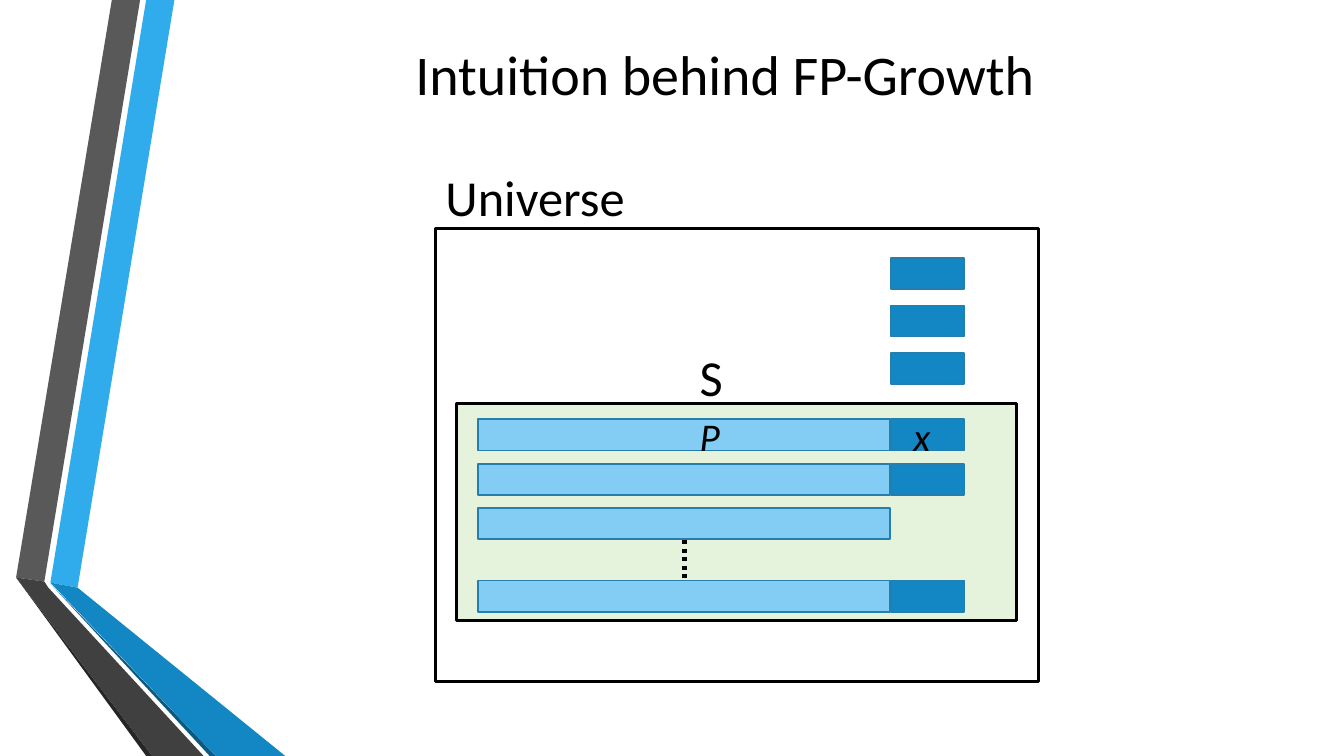
from dataclasses import dataclass
from typing import NamedTuple

from lxml.etree import SubElement
from pptx import Presentation
from pptx.dml.color import RGBColor
from pptx.enum.dml import MSO_LINE
from pptx.enum.shapes import MSO_CONNECTOR, MSO_SHAPE
from pptx.enum.text import MSO_ANCHOR, PP_ALIGN
from pptx.oxml.ns import qn
from pptx.util import Pt

PX = 9144


class Box(NamedTuple):
    left: int
    top: int
    width: int
    height: int

    def inner(self, left, top, width, height):
        """Return a box placed relative to this one."""
        return Box(self.left + left, self.top + top, width, height)

    def emu(self):
        """Return the four lengths in EMU."""
        return [length * PX for length in self]


@dataclass(frozen=True)
class Theme:
    font: str = "Calibri"
    ink: str = "000000"
    subset: str = "E6F3DC"
    prefix: str = "83CDF4"
    item: str = "1287C3"
    edge: str = "247FAF"
    blue: str = "30ACEC"
    blue_shade: str = "0C5A82"
    gray: str = "595959"
    gray_dark: str = "404040"
    gray_shade: str = "262626"
    title_size: int = 40
    label_size: int = 36
    item_size: int = 28
    frame_line: float = 2.25
    bar_line: float = 1.25
    dots_line: float = 3


THEME = Theme()


def color(code):
    """Turn a hex code into a colour."""
    return RGBColor.from_string(code)


def add_rect(page, box, fill, edge, weight):
    """Draw a rectangle, hollow when fill is None."""
    rect = page.shapes.add_shape(MSO_SHAPE.RECTANGLE, *box.emu())
    rect.shadow.inherit = False
    if fill is None:
        rect.fill.background()
    else:
        rect.fill.solid()
        rect.fill.fore_color.rgb = color(fill)
    rect.line.color.rgb = color(edge)
    rect.line.width = Pt(weight)


def add_text(page, box, text, size, italic=False, align=PP_ALIGN.LEFT, anchor=MSO_ANCHOR.TOP):
    """Write one line of text in a box."""
    frame = page.shapes.add_textbox(*box.emu()).text_frame
    frame.word_wrap = True
    frame.vertical_anchor = anchor
    frame.text = text
    para = frame.paragraphs[0]
    para.alignment = align
    font = para.runs[0].font
    font.name = THEME.font
    font.size = Pt(size)
    font.italic = italic
    font.color.rgb = color(THEME.ink)


def add_dots(page, box):
    """Draw a dotted vertical line down the left side of a box."""
    left, top, _, height = box.emu()
    dots = page.shapes.add_connector(MSO_CONNECTOR.STRAIGHT, left, top, left, top + height)
    dots.line.color.rgb = color(THEME.ink)
    dots.line.width = Pt(THEME.dots_line)
    dots.line.dash_style = MSO_LINE.ROUND_DOT
    SubElement(dots._element.spPr, qn("a:effectLst"))


def add_ribbons(page, box):
    """Draw the two folded ribbons along the left edge."""
    ribbons = [
        (THEME.blue, [(34, 578), (61, 583), (157, 0), (129, 0)]),
        (THEME.gray, [(123, 0), (95, 0), (0, 573), (28, 577)]),
        (THEME.gray_shade, [(0, 573), (129, 750), (135, 750)]),
        (THEME.blue_shade, [(34, 579), (192, 750), (198, 750)]),
        (THEME.item, [(34, 578), (198, 750), (267, 750), (61, 583)]),
        (THEME.gray_dark, [(186, 750), (32, 583), (28, 577), (0, 573), (135, 750)]),
    ]
    for fill, points in ribbons:
        start, *rest = [(box.left + x, box.top + y) for x, y in points]
        builder = page.shapes.build_freeform(*start, scale=PX)
        builder.add_line_segments(rest, close=True)
        ribbon = builder.convert_to_shape()
        ribbon.shadow.inherit = False
        ribbon.fill.solid()
        ribbon.fill.fore_color.rgb = color(fill)
        ribbon.line.fill.background()


def add_title(page, box):
    """Write the slide title in the middle of its box."""
    add_text(page, box, "Intuition behind FP-Growth", THEME.title_size,
             align=PP_ALIGN.CENTER, anchor=MSO_ANCHOR.MIDDLE)


def add_universe(page, box):
    """Draw the universe, with loose items above the subset S."""
    add_rect(page, box, None, THEME.ink, THEME.frame_line)
    add_text(page, box.inner(0, -67, 576, 71), "Universe", THEME.label_size)
    for row in range(3):
        add_rect(page, box.inner(452, 29 + 47 * row, 72, 31),
                 THEME.item, THEME.edge, THEME.bar_line)
    add_subset(page, box.inner(21, 173, 555, 216))


def add_subset(page, box):
    """Draw the subset S, whose bars join prefix P and item x."""
    add_rect(page, box, THEME.subset, THEME.ink, THEME.frame_line)
    add_text(page, box.inner(231, -62, 94, 71), "S", THEME.label_size)
    for top, has_item in [(16, True), (60, True), (104, False), (176, True)]:
        add_rect(page, box.inner(21, top, 409, 31),
                 THEME.prefix, THEME.edge, THEME.bar_line)
        if has_item:
            add_rect(page, box.inner(431, top, 72, 31),
                     THEME.item, THEME.edge, THEME.bar_line)
    add_dots(page, box.inner(226, 136, 0, 40))
    for text, left in [("P", 231), ("x", 443)]:
        add_text(page, box.inner(left, 4, 109, 57), text, THEME.item_size, italic=True)


def main():
    """Build the slide and save the deck."""
    deck = Presentation()
    deck.slide_width = 1333 * PX
    deck.slide_height = 750 * PX
    page = deck.slides.add_slide(deck.slide_layouts[6])
    add_ribbons(page, Box(16, 0, 267, 750))
    add_title(page, Box(171, 0, 1096, 146))
    add_universe(page, Box(432, 227, 598, 449))
    deck.save("out.pptx")


if __name__ == "__main__":
    main()
